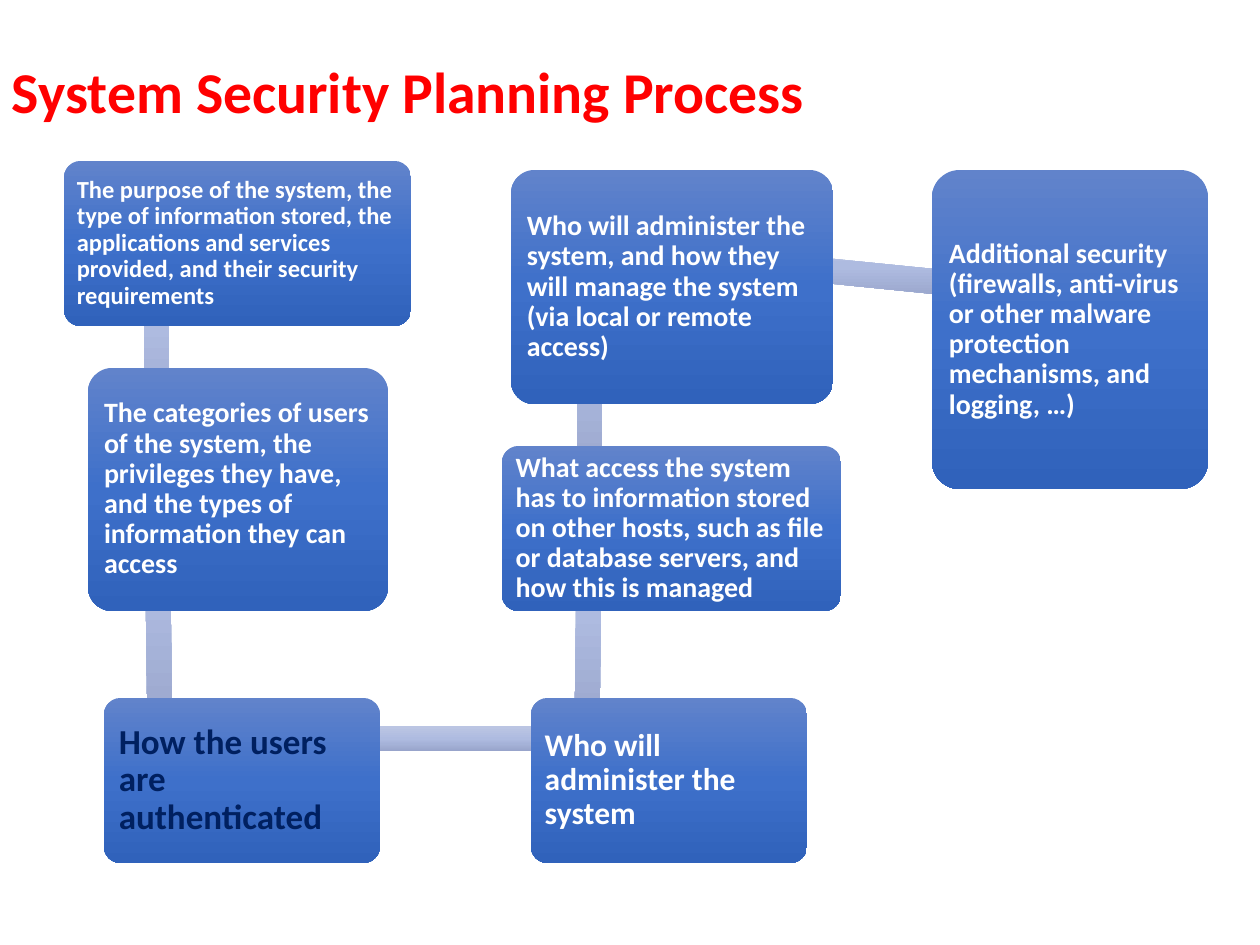
from math import atan2, degrees, hypot

from lxml.etree import SubElement
from pptx import Presentation
from pptx.dml.color import RGBColor
from pptx.enum.shapes import MSO_SHAPE as SHAPE
from pptx.enum.text import MSO_ANCHOR, PP_ALIGN
from pptx.oxml.ns import qn
from pptx.util import Emu, Pt

PX = 914400 // 126
FONT = "Calibri"
TITLE = "System Security Planning Process"
RED, WHITE, NAVY = "FF0000", "FFFFFF", "002060"
STEP_BLUES = ("6183CB", "3E70CA", "3062BB")
LINK_BLUES = ("BBC5E3", "AEBBE0", "98A4CB")
LINK_WIDTH = 25

# text, (left, top, width, height), link anchor, font size, inset, colour
STEPS = [
    ("The purpose of the system, the type of information stored, the applications "
     "and services provided, and their security requirements",
     (64, 161, 347, 165), (156, 203), 14, 8, WHITE),
    ("The categories of users of the system, the privileges they have, and the "
     "types of information they can access",
     (88, 368, 300, 243), (156, 448), 16, 9, WHITE),
    ("How the users are authenticated",
     (104, 698, 276, 165), (160, 739), 20, 10, NAVY),
    ("Who will administer the system",
     (531, 698, 276, 165), (587, 739), 18, 9, WHITE),
    ("What access the system has to information stored on other hosts, such as "
     "file or database servers, and how this is managed",
     (502, 446, 339, 165), (590, 486), 16, 9, WHITE),
    ("Who will administer the system, and how they will manage the system (via "
     "local or remote access)",
     (511, 170, 322, 234), (590, 247), 16, 9, WHITE),
    ("Additional security (firewalls, anti-virus or other malware protection "
     "mechanisms, and logging, …)",
     (932, 170, 276, 319), (988, 287), 16, 9, WHITE),
]


def px(*lengths):
    return [Emu(round(length * PX)) for length in lengths]


def rgb(colour):
    return RGBColor.from_string(colour)


def shade(shape, colours):
    """Fill from top to bottom of the slide, whatever the shape's rotation."""
    shape.fill.gradient()
    shape.fill.gradient_angle = 270
    gradient = shape.element.spPr.find(qn("a:gradFill"))
    gradient.set("rotWithShape", "0")
    stops = gradient.find(qn("a:gsLst"))
    for stop in list(stops):
        stops.remove(stop)
    for place, colour in enumerate(colours):
        stop = SubElement(stops, qn("a:gs"), pos=str(place * 50000))
        SubElement(stop, qn("a:srgbClr"), val=colour)


def add_block(slide, kind, box, colours):
    block = slide.shapes.add_shape(kind, *px(*box))
    block.shadow.inherit = False
    block.line.fill.background()
    shade(block, colours)
    return block


def write(shape, text, size, colour, inset):
    frame = shape.text_frame
    frame.word_wrap = True
    frame.vertical_anchor = MSO_ANCHOR.MIDDLE
    (margin,) = px(inset)
    frame.margin_left = frame.margin_right = margin
    frame.margin_top = frame.margin_bottom = margin
    paragraph = frame.paragraphs[0]
    paragraph.alignment = PP_ALIGN.LEFT
    paragraph.line_spacing = 0.9
    run = paragraph.add_run()
    run.text = text
    run.font.name = FONT
    run.font.size = Pt(size)
    run.font.bold = True
    run.font.color.rgb = rgb(colour)


def add_link(slide, start, end):
    (x1, y1), (x2, y2) = start, end
    length = hypot(x2 - x1, y2 - y1)
    box = ((x1 + x2 - length) / 2, (y1 + y2 - LINK_WIDTH) / 2, length, LINK_WIDTH)
    link = add_block(slide, SHAPE.RECTANGLE, box, LINK_BLUES)
    link.rotation = degrees(atan2(y2 - y1, x2 - x1)) % 360


def main():
    deck = Presentation()
    deck.slide_width, deck.slide_height = px(1260, 945)
    slide = deck.slides.add_slide(deck.slide_layouts[6])

    title = slide.shapes.add_textbox(*px(0, 0, 1260, 189))
    write(title, TITLE, 33, RED, 12)

    anchors = [step[2] for step in STEPS]
    for start, end in zip(anchors, anchors[1:]):
        add_link(slide, start, end)

    for text, box, _, size, inset, colour in STEPS:
        step = add_block(slide, SHAPE.ROUNDED_RECTANGLE, box, STEP_BLUES)
        step.adjustments[0] = 0.1
        write(step, text, size, colour, inset)

    deck.save("out.pptx")


if __name__ == "__main__":
    main()
